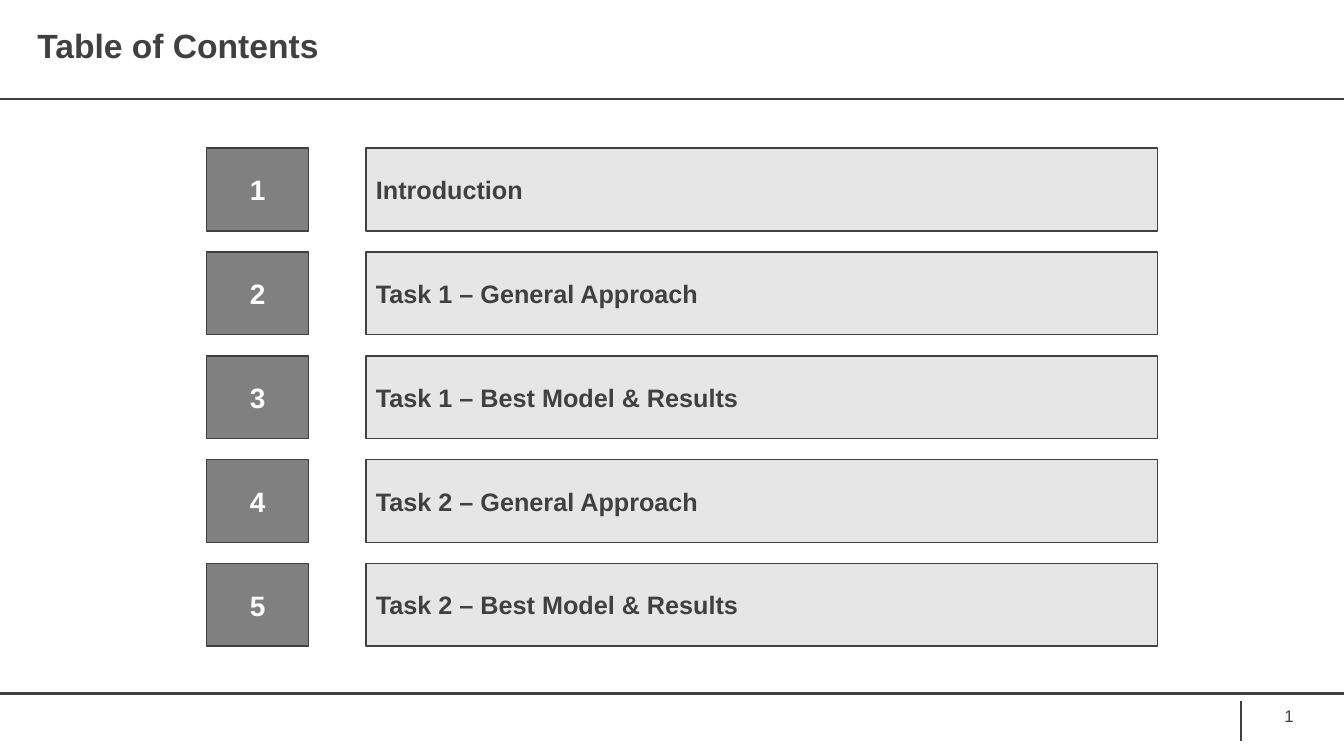
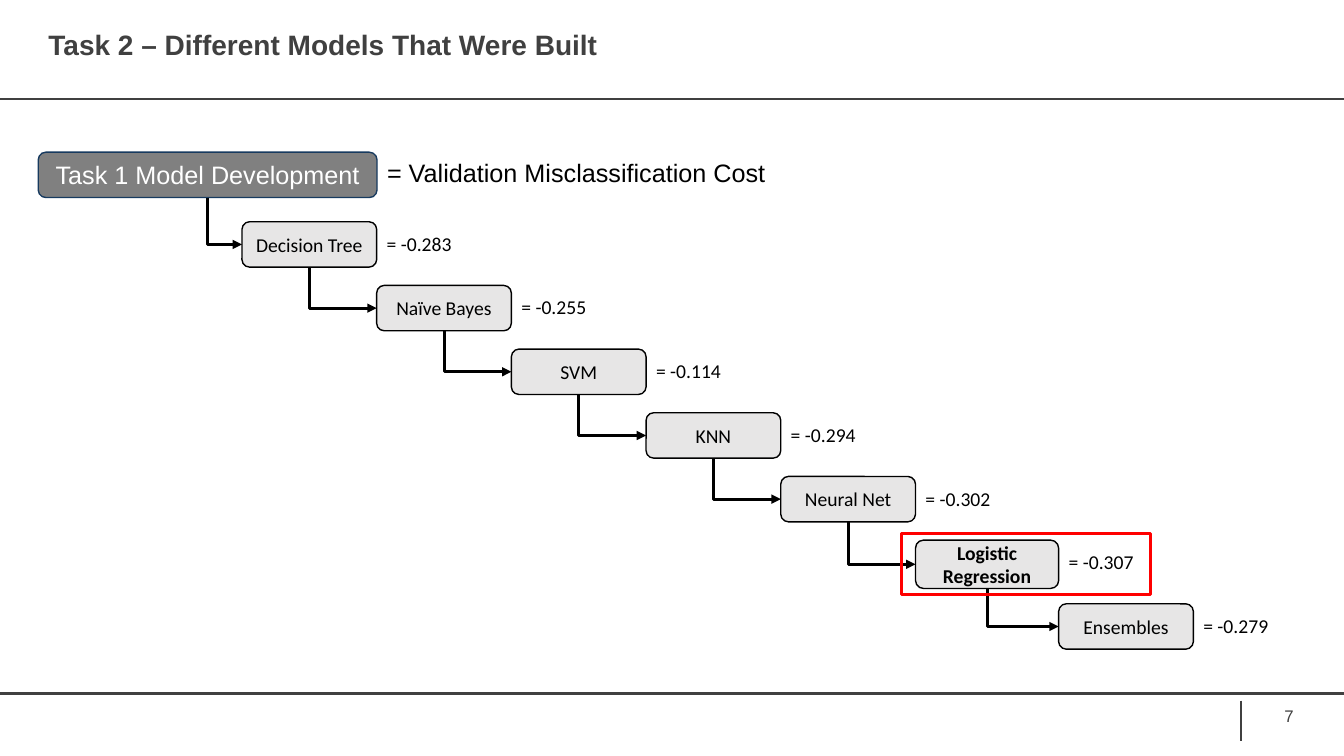
"""Build a contents slide and a model staircase slide."""
from dataclasses import dataclass

from lxml.etree import SubElement
from pptx import Presentation
from pptx.dml.color import RGBColor
from pptx.enum.shapes import MSO_CONNECTOR, MSO_SHAPE
from pptx.enum.text import MSO_ANCHOR, MSO_AUTO_SIZE, PP_ALIGN
from pptx.oxml.ns import qn
from pptx.util import Inches, Pt


@dataclass(frozen=True)
class Theme:
    dark: str = "404040"
    gray: str = "808080"
    pale: str = "E6E6E6"
    node: str = "E7E6E6"
    navy: str = "173A5F"
    black: str = "000000"
    white: str = "FFFFFF"
    red: str = "FF0000"
    sans: str = "Arial"
    body: str = "Calibri"
    title: int = 24
    head: int = 20
    item: int = 18
    label: int = 14
    small: int = 12
    thin: float = 1
    rule: float = 1.75
    thick: float = 2.25


def write(shape, text, size, color, font, bold=False, align=PP_ALIGN.LEFT,
          anchor=MSO_ANCHOR.TOP, space=None):
    frame = shape.text_frame
    frame.word_wrap = True
    frame.auto_size = MSO_AUTO_SIZE.NONE
    frame.vertical_anchor = anchor
    para = frame.paragraphs[0]
    para.alignment = align
    para.line_spacing = space
    run = para.add_run()
    run.text = text
    run.font.size = Pt(size)
    run.font.name = font
    run.font.bold = bold
    run.font.color.rgb = RGBColor.from_string(color)


class Deck:
    def __init__(self, theme):
        self.theme = theme
        self.prs = Presentation()
        self.prs.slide_width = Inches(13.33)
        self.prs.slide_height = Inches(7.5)
        self.layout = self.prs.slide_layouts[5]
        self.slide = None

    def page(self, title, spot, size, number):
        t = self.theme
        first = self.slide is None
        self.slide = self.prs.slides.add_slide(self.layout)
        if first:
            self.rules()
        head = self.slide.shapes.title
        head.left, head.top, head.width, head.height = map(Inches, spot)
        write(head, title, size=size, color=t.dark, font=t.sans, bold=True,
              anchor=MSO_ANCHOR.BOTTOM, space=0.9)
        self.text(number, 12.64, 6.95, 0.47, 0.3, size=t.small, color=t.dark,
                  font=t.sans)

    def rules(self):
        t = self.theme
        for x1, y1, x2, y2, width in ((0, 0.98, 13.33, 0.98, t.rule),
                                      (0, 6.88, 13.33, 6.88, t.rule),
                                      (12.31, 6.95, 12.31, 7.35, t.thin)):
            line = self.line(MSO_CONNECTOR.STRAIGHT, x1, y1, x2, y2, t.dark, width)
            self.layout.shapes.element.append(line.element)

    def text(self, text, x, y, w, h, **style):
        box = self.slide.shapes.add_textbox(*map(Inches, (x, y, w, h)))
        write(box, text, **style)

    def box(self, kind, x, y, w, h, fill, edge, width):
        shape = self.slide.shapes.add_shape(kind, *map(Inches, (x, y, w, h)))
        shape.shadow.inherit = False
        if fill:
            shape.fill.solid()
            shape.fill.fore_color.rgb = RGBColor.from_string(fill)
        else:
            shape.fill.background()
        shape.line.color.rgb = RGBColor.from_string(edge)
        shape.line.width = Pt(width)
        return shape

    def block(self, text, kind, x, y, w, h, fill, edge, **style):
        shape = self.box(kind, x, y, w, h, fill, edge, self.theme.thin)
        write(shape, text, anchor=MSO_ANCHOR.MIDDLE, **style)
        return shape

    def line(self, kind, x1, y1, x2, y2, color, width):
        line = self.slide.shapes.add_connector(kind, *map(Inches, (x1, y1, x2, y2)))
        line.line.color.rgb = RGBColor.from_string(color)
        line.line.width = Pt(width)
        SubElement(line.element.spPr, qn("a:effectLst"))
        return line

    def elbow(self, start, end):
        t = self.theme
        line = self.line(MSO_CONNECTOR.ELBOW, 0, 0, 1, 1, t.black, t.thick)
        line.begin_connect(start, 2)
        line.end_connect(end, 1)
        x, y = start.left + start.width // 2, start.top + start.height
        wide, tall = end.left - x, end.top + end.height // 2 - y
        line.left, line.top = x + (wide - tall) // 2, y + (tall - wide) // 2
        line.width, line.height = tall, wide
        props = line.element.spPr
        turn = props.find(qn("a:xfrm"))
        turn.set("rot", "16200000")
        turn.set("flipH", "1")
        turn.set("flipV", "0")
        props.find(qn("a:prstGeom")).set("prst", "bentConnector2")
        SubElement(props.find(qn("a:ln")), qn("a:tailEnd"), type="triangle")


def contents(deck):
    t = deck.theme
    deck.page("Table of Contents", (0.27, 0.36, 7.08, 0.34), t.title, "1")
    topics = ("Introduction", "Task 1 – General Approach",
              "Task 1 – Best Model & Results", "Task 2 – General Approach",
              "Task 2 – Best Model & Results")
    for row, topic in enumerate(topics):
        y = 1.47 + 1.03 * row
        deck.block(str(row + 1), MSO_SHAPE.RECTANGLE, 2.05, y, 1.01, 0.82,
                   t.gray, t.dark, size=t.head, color=t.white, font=t.sans,
                   bold=True, align=PP_ALIGN.CENTER)
        deck.block(topic, MSO_SHAPE.RECTANGLE, 3.63, y, 7.85, 0.82,
                   t.pale, t.dark, size=t.item, color=t.dark, font=t.sans,
                   bold=True)


def models(deck):
    t = deck.theme
    deck.page("Task 2 – Different Models That Were Built",
              (0.38, 0.21, 12.58, 0.45), t.head, "7")
    last = deck.block("Task 1 Model Development", MSO_SHAPE.ROUNDED_RECTANGLE,
                      0.38, 1.51, 3.36, 0.45, t.gray, t.navy, size=t.item,
                      color=t.white, font=t.sans, align=PP_ALIGN.CENTER)
    deck.text("= Validation Misclassification Cost", 3.74, 1.51, 4.25, 0.4,
              size=t.item, color=t.black, font=t.sans)
    costs = (("Decision Tree", "-0.283"), ("Naïve Bayes", "-0.255"),
             ("SVM", "-0.114"), ("KNN", "-0.294"), ("Neural Net", "-0.302"),
             ("Logistic Regression", "-0.307"), ("Ensembles", "-0.279"))
    best = "Logistic Regression"
    x, pitch = 2.4, (9.08 - 2.4) / 5
    for step, (name, cost) in enumerate(costs):
        y = 2.2 + (5.99 - 2.2) / 6 * step
        wide, tall = (1.42, 0.48) if name == best else (pitch, 0.45)
        node = deck.block(name, MSO_SHAPE.ROUNDED_RECTANGLE, x, y, wide, tall,
                          t.node, t.black, size=t.label, color=t.black,
                          font=t.body, bold=name == best, align=PP_ALIGN.CENTER)
        deck.elbow(last, node)
        x += wide
        deck.text(f"= {cost}", x, y + 0.05, 1.45, 0.34, size=t.label,
                  color=t.black, font=t.body)
        last = node
    deck.box(MSO_SHAPE.RECTANGLE, 8.94, 5.29, 2.47, 0.61, None, t.red, t.thick)


def main():
    deck = Deck(Theme())
    contents(deck)
    models(deck)
    deck.prs.save("out.pptx")


if __name__ == "__main__":
    main()
